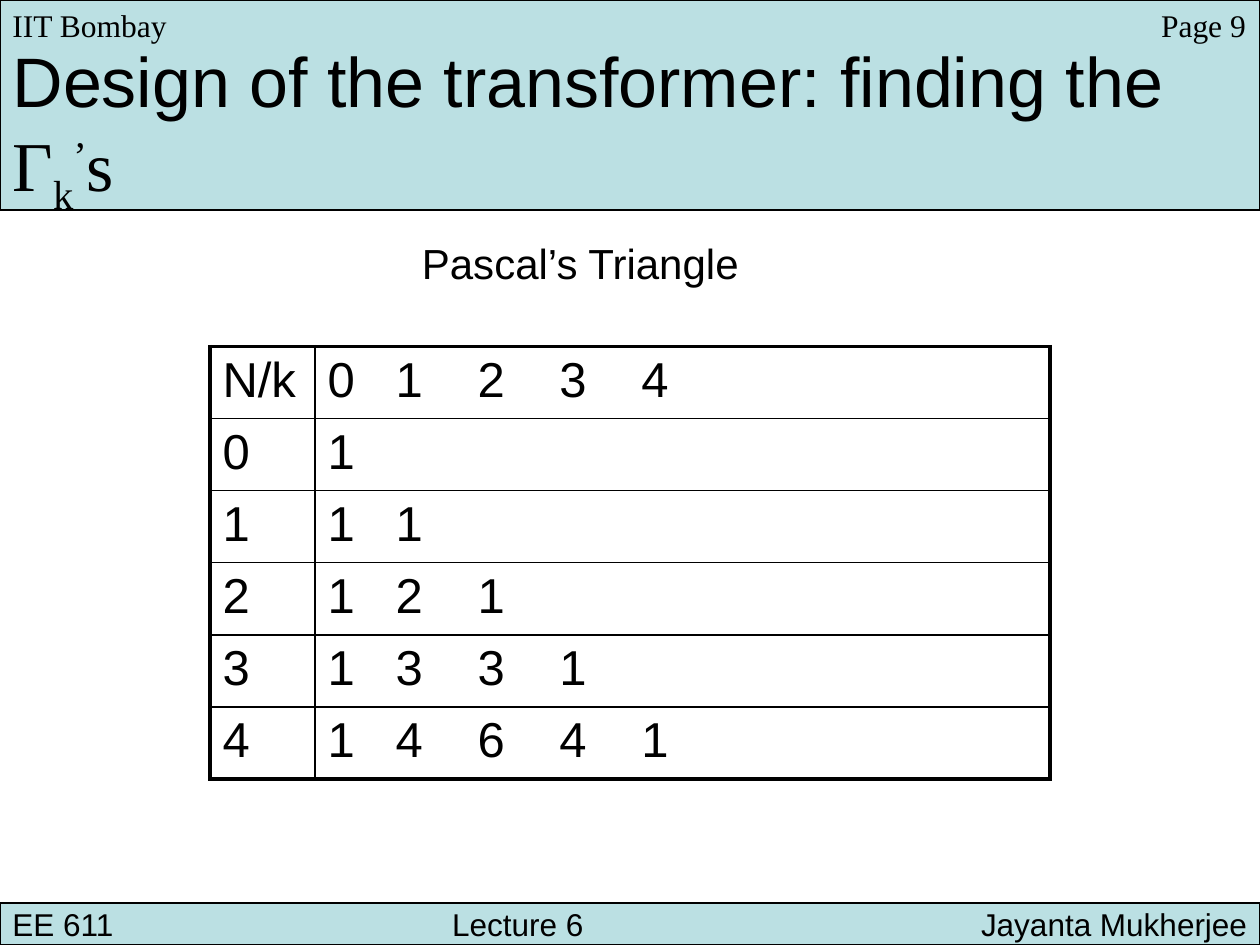
from math import comb

from pptx import Presentation, util as u
from pptx.dml.color import RGBColor
from pptx.enum import shapes, text
from pptx.oxml import parse_xml
from pptx.oxml.ns import nsdecls

COLS, ROWS = 120, 90


def rgb(code):
    """Turn a hex string into a colour."""
    return RGBColor.from_string(code)


def add_tabs(p, stops):
    """Give a paragraph tab stops, as (inches, alignment) pairs."""
    tabs = "".join(f'<a:tab pos="{int(u.Inches(x))}" algn="{a}"/>' for x, a in stops)
    p._p.get_or_add_pPr().append(parse_xml(f"<a:tabLst {nsdecls('a')}>{tabs}</a:tabLst>"))


class Lecture:
    """Style and current slide, laid out on a grid of COLS by ROWS."""

    ink, band, sans, serif = "000000", "BBE0E3", "Arial", "Times New Roman"
    thin, thick = 0.91, 2.15

    def __init__(self, prs):
        """Start a title-only slide."""
        self.prs = prs
        self.s = prs.slides.add_slide(prs.slide_layouts[5])

    def box(self, col, row, cols, rows):
        """Convert grid units to left, top, width and height."""
        dx, dy = self.prs.slide_width / COLS, self.prs.slide_height / ROWS
        return [int(v) for v in (col * dx, row * dy, cols * dx, rows * dy)]

    def style(self, p, size, font):
        """Format every run of a left-aligned paragraph."""
        p.alignment = text.PP_ALIGN.LEFT
        for r in p.runs:
            r.font.size, r.font.name = u.Pt(size), font
            r.font.color.rgb = rgb(self.ink)

    def bar(self, *grid):
        """Draw a full-width tinted bar."""
        sp = self.s.shapes.add_shape(shapes.MSO_SHAPE.RECTANGLE, *self.box(*grid))
        sp.shadow.inherit = False
        sp.fill.solid()
        sp.fill.fore_color.rgb = rgb(self.band)
        sp.line.color.rgb = rgb(self.ink)
        sp.line.width = u.Pt(0.74)
        return sp

    def footer(self, parts, stops, *grid):
        """Draw a bar whose texts sit on tab stops."""
        tf = self.bar(*grid).text_frame
        tf.text = "\t".join(parts)
        tf.vertical_anchor = text.MSO_ANCHOR.MIDDLE
        self.style(tf.paragraphs[0], 18, self.sans)
        add_tabs(tf.paragraphs[0], stops)

    def title(self, heading, symbols, *grid):
        """Fill the title with a heading and a line of (text, baseline) symbols."""
        sp = self.s.shapes.title
        sp.left, sp.top, sp.width, sp.height = self.box(*grid)
        self.s.shapes._spTree.append(sp._element)
        tf = sp.text_frame
        tf.text = heading
        tf.vertical_anchor = text.MSO_ANCHOR.TOP
        tf.auto_size = text.MSO_AUTO_SIZE.NONE
        p = tf.add_paragraph()
        for symbol, baseline in symbols:
            r = p.add_run()
            r.text = symbol
            r.font._element.set("baseline", str(baseline * 1000))
        self.style(tf.paragraphs[0], 40, self.sans)
        self.style(p, 40, self.serif)

    def label(self, words, size, font, *grid):
        """Place one line of text in a box that grows with it."""
        tf = self.s.shapes.add_textbox(*self.box(*grid)).text_frame
        tf.text = words
        tf.word_wrap = False
        tf.auto_size = text.MSO_AUTO_SIZE.SHAPE_TO_FIT_TEXT
        self.style(tf.paragraphs[0], size, font)

    def borders(self, cell, widths):
        """Line the left, right, top and bottom of a cell."""
        tc_pr = cell._tc.get_or_add_tcPr()
        for i, (side, width) in enumerate(zip("LRTB", widths)):
            tc_pr.insert(i, parse_xml(
                f'<a:ln{side} {nsdecls("a")} w="{int(u.Pt(width))}"><a:solidFill>'
                f'<a:srgbClr val="{self.ink}"/></a:solidFill></a:ln{side}>'))

    def table(self, rows, widths, stops, col, row, height):
        """Draw a table with a thick frame and tabbed values."""
        grid = self.box(col, row, sum(widths), height)
        tbl = self.s.shapes.add_table(len(rows), len(widths), *grid).table
        tbl.first_row = tbl.horz_banding = False
        for column, width in zip(tbl.columns, widths):
            column.width = self.box(0, 0, width, 0)[2]
        last = len(rows) - 1
        for i, values in enumerate(rows):
            for j, words in enumerate(values):
                cell = tbl.cell(i, j)
                cell.text = words
                cell.margin_top = u.Inches(0.08)
                cell.fill.background()
                p = cell.text_frame.paragraphs[0]
                p.line_spacing, p.space_before = 0.93, u.Pt(7)
                self.style(p, 28, self.sans)
                if "\t" in words:
                    add_tabs(p, stops)
                outer = (j == 0, j == len(widths) - 1, i == 0, i == last)
                self.borders(cell, [self.thick if o else self.thin for o in outer])


def main():
    """Build the slide."""
    prs = Presentation()
    prs.slide_width, prs.slide_height = u.Inches(10), u.Inches(7.5)
    page = Lecture(prs)
    page.bar(0, 0, COLS, 20)
    page.title("Design of the transformer: finding the",
               [("Γ", 0), ("k", -25), ("’", 30), ("s", 0)], 0, 3, COLS, 18.4)
    page.footer(["EE 611", "Lecture 6", "Jayanta Mukherjee"],
                [(3.49, "l"), (9.8, "r")], 0, 86, COLS, 4)
    page.label("Page 9", 18, page.serif, 109.4, 0, 10.6, 4.8)
    page.label("IIT Bombay", 18, page.serif, 0, 0, 17.2, 4.8)

    order = range(5)
    rows = [("N/k", "\t".join(map(str, order)))]
    rows += [(str(n), "\t".join(str(comb(n, k)) for k in range(n + 1))) for n in order]
    stops = [(0.54 + 0.65 * k, "l") for k in range(4)]
    page.table(rows, [10, 70], stops, 20, 33, 41.2)
    page.label("Pascal’s Triangle", 24, page.sans, 39, 22, 32.8, 6)
    prs.save("out.pptx")


main()
